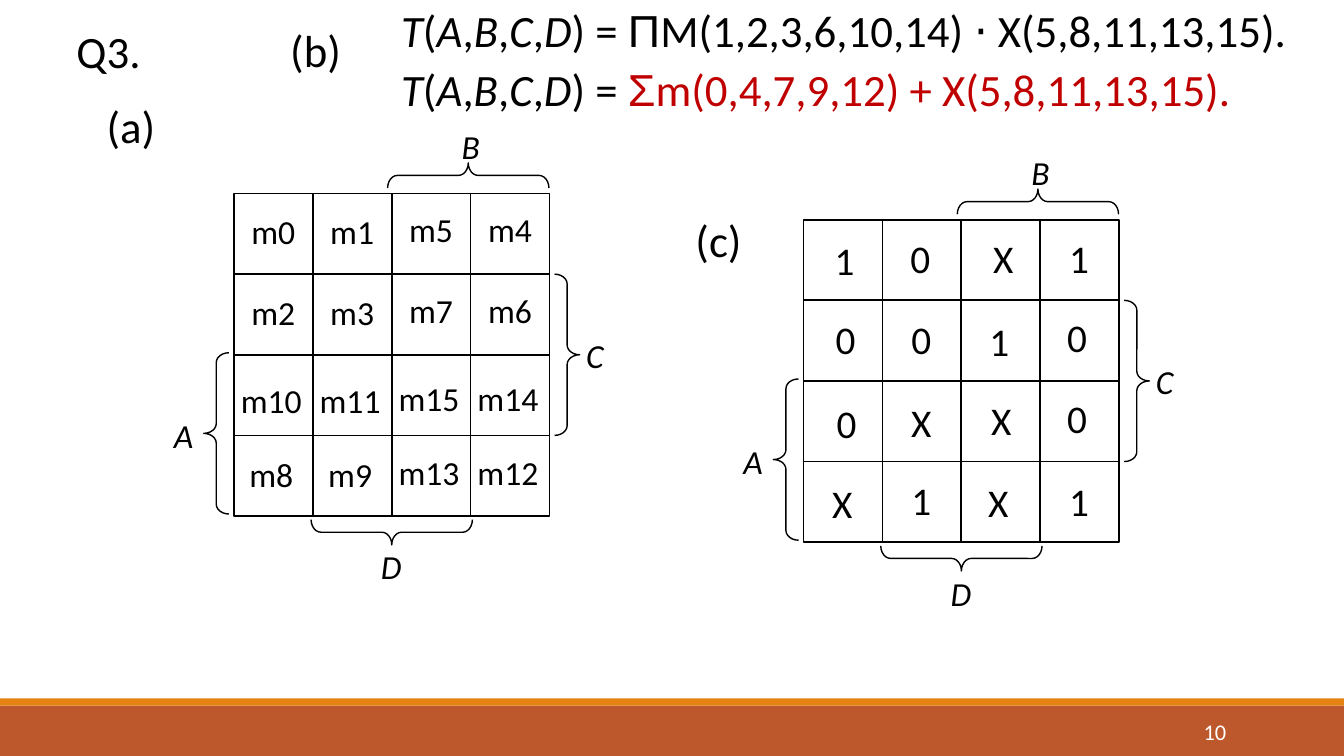
from pptx import Presentation
from pptx.dml.color import RGBColor
from pptx.enum.shapes import MSO_SHAPE as SHAPE
from pptx.enum.text import MSO_ANCHOR as ANCHOR, PP_ALIGN as ALIGN
from pptx.util import Inches, Pt

BLACK = RGBColor(0x00, 0x00, 0x00)
WHITE = RGBColor(0xFF, 0xFF, 0xFF)
RED = RGBColor(0xC0, 0x00, 0x00)
RUST = RGBColor(0xBD, 0x58, 0x2C)
ORANGE = RGBColor(0xE4, 0x83, 0x12)

CELL_W, CELL_H = 3.13 / 4, 0.8

# Map variables: label offset from the grid corner
VARIABLES = {"A": (-0.76, 2.15), "B": (2.09, -0.72),
             "C": (3.32, 1.35), "D": (1.3, 3.45)}
# Braces: x, y offset from the grid corner, rotation, mirrored
BRACES = [(3.18, 0.8, 0, False), (-0.3, 1.58, 0, True),
          (2.2, -0.98, 270, False), (1.44, 2.56, 90, False)]

# Minterms: labels, then the row's x and y offset inside its cells
MINTERM_ROWS = [(("m0", "m1", "m5", "m4"), -0.12, 0.12),
                (("m2", "m3", "m7", "m6"), -0.12, 0.13),
                (("m10", "m11", "m15", "m14"), -0.14, 0.2),
                (("m8", "m9", "m13", "m12"), -0.14, 0.13)]
COLUMN_LIFT = (0, 0, 0.02, 0.02)
MINTERMS = [[(label, dx, dy - lift) for label, lift in zip(labels, COLUMN_LIFT)]
            for labels, dx, dy in MINTERM_ROWS]

# Function values: label, x and y offset inside the cell
VALUES = [
    [("1", 0.01, 0.12), ("0", -0.02, 0.1), ("X", 0.02, 0.1), ("1", -0.01, 0.1)],
    [("0", 0.02, 0.1), ("0", -0.01, 0.1), ("1", -0.02, 0.12), ("0", -0.03, 0.08)],
    [("0", 0.03, 0.13), ("X", -0.01, 0.12), ("X", 0, 0.1), ("0", -0.03, 0.08)],
    [("X", -0.01, 0.13), ("1", -0.01, 0.1), ("X", -0.03, 0.12), ("1", -0.01, 0.11)],
]


def style(r, size, color=BLACK, italic=False, font="Calibri"):
    r.font.name, r.font.size, r.font.italic = font, Pt(size), italic
    r.font.color.rgb = color


def add_text(shapes, x, y, w, h, text, size, align=ALIGN.LEFT, color=BLACK, italic=False):
    tf = shapes.add_textbox(Inches(x), Inches(y), Inches(w), Inches(h)).text_frame
    tf.word_wrap = True
    p = tf.paragraphs[0]
    p.text, p.alignment = text, align
    for r in p.runs:
        style(r, size, color, italic)
    return tf


def add_outline(shapes, kind, x, y, w, h, width):
    sp = shapes.add_shape(kind, Inches(x), Inches(y), Inches(w), Inches(h))
    sp.shadow.inherit = False
    sp.fill.background()
    sp.line.color.rgb, sp.line.width = BLACK, Pt(width)
    return sp


def add_heading(s, x, y, w, text):
    tf = add_text(s.shapes, x, y, w, 0.72, text, 32)
    tf.paragraphs[0].line_spacing = 0.9
    return tf


def add_formula(s, x, y, w, symbol, terms, color):
    tf = add_heading(s, x, y, w, "")
    p = tf.paragraphs[0]
    for part in ("T", "(", "A", ",", "B", ",", "C", ",", "D", ") = "):
        r = p.add_run()
        r.text = part
        style(r, 32, italic=part.isalpha())
    for part, font in ((symbol, "Arial"), (terms, "Calibri")):
        r = p.add_run()
        r.text = part
        style(r, 32, color, font=font)


def add_karnaugh_map(s, x, y, entries, entry_w, entry_h, size):
    # Grid, variable names and braces
    shapes = s.shapes.add_group_shape().shapes
    for row in range(4):
        for col in range(4):
            add_outline(shapes, SHAPE.RECTANGLE, x + col * CELL_W, y + row * CELL_H,
                        CELL_W, CELL_H, 1.25)
    for name, (dx, dy) in VARIABLES.items():
        add_text(shapes, x + dx, y + dy, 0.52, 0.5, name, 24, ALIGN.CENTER, italic=True)
    for dx, dy, rotation, mirrored in BRACES:
        brace = add_outline(shapes, SHAPE.RIGHT_BRACE, x + dx, y + dy, 0.25, 1.6, 1)
        brace.adjustments[0] = 0.389
        brace.rotation = rotation
        if mirrored:
            brace._element.spPr.get_or_add_xfrm().set("flipH", "1")
    # Cell entries
    for row, cells in enumerate(entries):
        for col, (label, dx, dy) in enumerate(cells):
            add_text(s.shapes, x + col * CELL_W + dx, y + row * CELL_H + dy,
                     entry_w, entry_h, label, size, ALIGN.CENTER)


def add_footer(s, y, number):
    for top, h, color in ((y + 0.07, 0.5, RUST), (y, 0.07, ORANGE)):
        sp = s.shapes.add_shape(SHAPE.RECTANGLE, 0, Inches(top), Inches(13.33), Inches(h))
        sp.shadow.inherit = False
        sp.fill.solid()
        sp.fill.fore_color.rgb = color
        sp.line.fill.background()
    tf = add_text(s.shapes, 10.83, y + 0.13, 1.43, 0.4, number, 16, ALIGN.RIGHT, WHITE)
    tf.vertical_anchor = ANCHOR.MIDDLE


def main():
    prs = Presentation()
    prs.slide_width, prs.slide_height = Inches(13.33), Inches(7.5)
    s = prs.slides.add_slide(prs.slide_layouts[6])

    add_footer(s, 6.93, "10")
    add_heading(s, 0.66, 0.25, 0.97, "Q3.")

    # Part (a): minterm positions
    add_heading(s, 0.96, 0.99, 0.86, "(a)")
    add_karnaugh_map(s, 2.32, 1.92, MINTERMS, 1.02, 0.5, 24)

    # Part (b): product and sum forms
    add_heading(s, 2.78, 0.24, 0.86, "(b)")
    add_formula(s, 3.88, 0.04, 9.22, "Π", "M(1,2,3,6,10,14) ⋅ X(5,8,11,13,15).", BLACK)
    add_formula(s, 3.88, 0.62, 8.57, "Σ", "m(0,4,7,9,12) + X(5,8,11,13,15).", RED)

    # Part (c): function values
    add_heading(s, 6.8, 2.12, 0.86, "(c)")
    add_karnaugh_map(s, 7.97, 2.18, VALUES, 0.79, 0.57, 28)

    prs.save("out.pptx")


if __name__ == "__main__":
    main()
